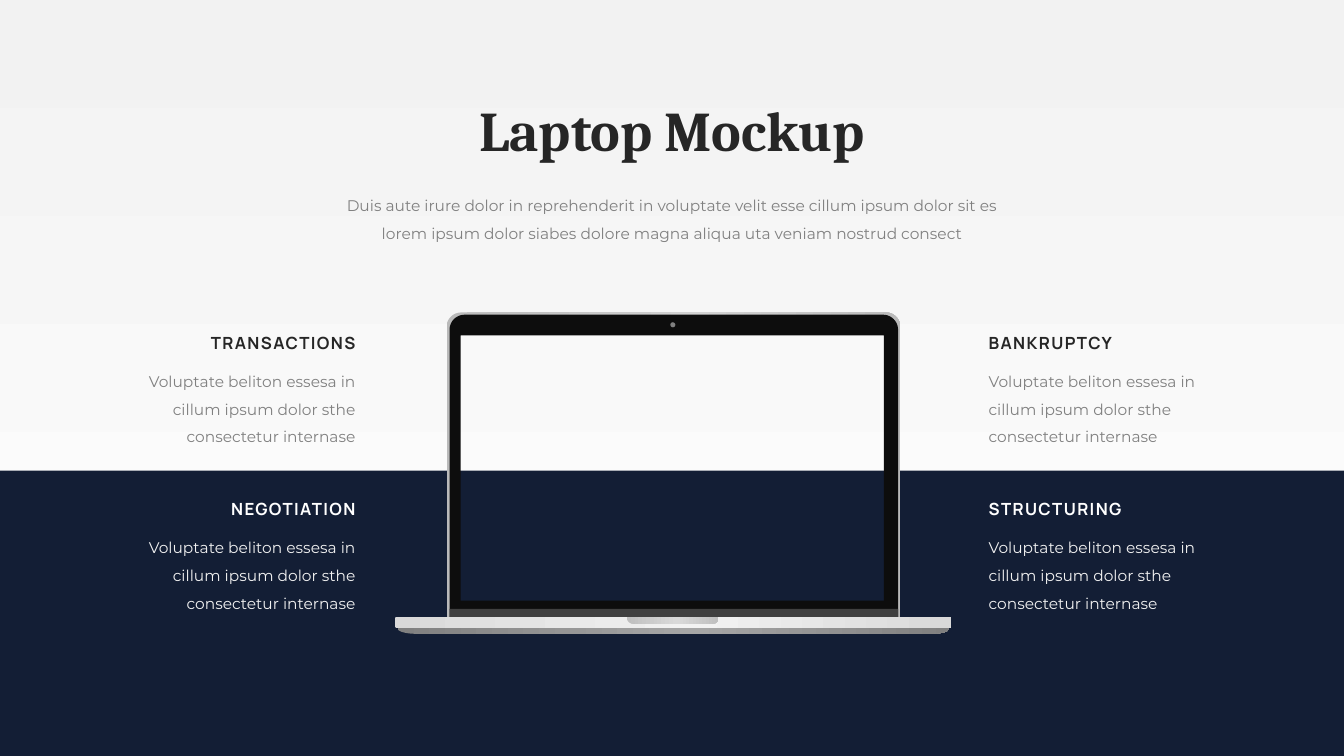
from copy import deepcopy
from dataclasses import dataclass
from math import cos, pi, sin

import pptx
from pptx import util as u
from pptx.dml.color import RGBColor
from pptx.enum import shapes, text
from pptx.oxml import ns

WHITE = RGBColor(0xFF, 0xFF, 0xFF)
MIST = RGBColor(0xF2, 0xF2, 0xF2)
PEARL = RGBColor(0xD9, 0xD9, 0xD9)
ALUMINIUM = RGBColor(0xD3, 0xD3, 0xD3)
SILVER = RGBColor(0xBF, 0xBF, 0xBF)
EDGE = RGBColor(0xBA, 0xBA, 0xBA)
STEEL = RGBColor(0xA6, 0xA6, 0xA6)
GREY = RGBColor(0x80, 0x80, 0x80)
CHARCOAL = RGBColor(0x40, 0x40, 0x40)
INK = RGBColor(0x26, 0x26, 0x26)
BLACK = RGBColor(0x0D, 0x0D, 0x0D)
NAVY = RGBColor(0x13, 0x1E, 0x35)

PAGE_WIDTH, PAGE_HEIGHT = 960, 540
BAND_TOP = 336.25
COLUMN_WIDTH = 177
INTRO = ("Duis aute irure dolor in reprehenderit in voluptate velit esse cillum ipsum dolor "
         "sit es lorem ipsum dolor siabes dolore magna aliqua uta veniam nostrud consect")
DETAIL = "Voluptate beliton essesa in cillum ipsum dolor sthe consectetur internase"
LEFT, CENTER, RIGHT = text.PP_ALIGN.LEFT, text.PP_ALIGN.CENTER, text.PP_ALIGN.RIGHT


@dataclass
class Contour:
    """Rectangle in points, with separate (width, height) radii for top and bottom corners."""
    left: float
    top: float
    right: float
    bottom: float
    top_radius: tuple[float, float] = (0, 0)
    bottom_radius: tuple[float, float] = (0, 0)

    def points(self) -> list[tuple[int, int]]:
        corners = [
            (self.left, self.top, 1, 1, self.top_radius, pi),
            (self.right, self.top, -1, 1, self.top_radius, 1.5 * pi),
            (self.right, self.bottom, -1, -1, self.bottom_radius, 0),
            (self.left, self.bottom, 1, -1, self.bottom_radius, 0.5 * pi),
        ]
        found = []
        for x, y, inward_x, inward_y, (rx, ry), start in corners:
            steps = 12 if rx else 0
            for step in range(steps + 1):
                angle = start + step * pi / 24
                found.append((u.Pt(x + inward_x * rx + rx * cos(angle)),
                              u.Pt(y + inward_y * ry + ry * sin(angle))))
        return found


@dataclass
class LaptopPart:
    contours: list[Contour]
    colors: list[RGBColor]


@dataclass
class Topic:
    heading: str
    left: float
    top: float
    align: text.PP_ALIGN
    heading_color: RGBColor
    detail_color: RGBColor


LAPTOP = [
    # Lid rim, screen bezel, deck, underside and opening notch
    LaptopPart([Contour(319, 223.2, 643, 444.2, (10.6, 10.2)),
                Contour(327, 234, 635.8, 430.6)], [EDGE, ALUMINIUM, EDGE]),
    LaptopPart([Contour(321.1, 224.8, 641.5, 440.6, (10.8, 10.8)),
                Contour(329, 239.6, 631.4, 429)], [BLACK]),
    LaptopPart([Contour(282.2, 440.6, 679.5, 448.6, (1.4, 1.4), (1.4, 1.4))],
               [PEARL, MIST, PEARL]),
    LaptopPart([Contour(284.2, 448.6, 678, 452.8, (0, 0), (14, 3.6))], [GREY, STEEL, GREY]),
    LaptopPart([Contour(447.8, 440.6, 513.4, 445.6, (0, 0), (4.4, 4.4))],
               [SILVER, PEARL, SILVER]),
]

COLUMNS = {LEFT: 699.1, RIGHT: 84.2}
ROWS = [(234, INK, GREY), (352.8, WHITE, MIST)]
HEADINGS = {RIGHT: ["TRANSACTIONS", "NEGOTIATION"], LEFT: ["BANKRUPTCY", "STRUCTURING"]}
TOPICS = [Topic(heading, COLUMNS[align], top, align, heading_color, detail_color)
          for align, headings in HEADINGS.items()
          for heading, (top, heading_color, detail_color) in zip(headings, ROWS)]


def paint(fill, element, colors: list[RGBColor], angle: float = 0) -> None:
    """Fill with one colour, or with a gradient of two or three colours."""
    if len(colors) == 1:
        fill.solid()
        fill.fore_color.rgb = colors[0]
        return
    fill.gradient()
    fill.gradient_angle = angle
    stop_list = element.find(".//" + ns.qn("a:gsLst"))
    if len(colors) == 3:
        stop_list.insert(1, deepcopy(stop_list[0]))
    positions = [0, 1] if len(colors) == 2 else [0, 0.54, 1]
    for stop, color, position in zip(fill.gradient_stops, colors, positions):
        stop.color.rgb = color
        stop.position = position


def finish(shape, colors: list[RGBColor]) -> None:
    shape.shadow.inherit = False
    shape.line.fill.background()
    paint(shape.fill, shape.element, colors)


def add_preset(owner, kind: shapes.MSO_SHAPE, left: float, top: float,
               width: float, height: float, color: RGBColor) -> None:
    shape = owner.shapes.add_shape(kind, u.Pt(left), u.Pt(top), u.Pt(width), u.Pt(height))
    finish(shape, [color])


def add_part(group, part: LaptopPart) -> None:
    builder = None
    for contour in part.contours:
        first, *others = contour.points()
        if builder is None:
            builder = group.shapes.build_freeform(*first)
        else:
            builder.move_to(*first)
        builder.add_line_segments(others, close=True)
    finish(builder.convert_to_shape(), part.colors)


def write(box, words: str, *, font: str, size: float, color: RGBColor, align: text.PP_ALIGN,
          bold: bool = False, line_spacing: float = 1.0, tracking: float = 0) -> None:
    frame = box.text_frame
    frame.word_wrap = True
    frame.auto_size = text.MSO_AUTO_SIZE.SHAPE_TO_FIT_TEXT
    frame.vertical_anchor = text.MSO_ANCHOR.TOP
    para = frame.paragraphs[0]
    para.alignment = align
    para.line_spacing = line_spacing
    span = para.add_run()
    span.text = words
    span.font.name = font
    span.font.size = u.Pt(size)
    span.font.bold = bold
    span.font.color.rgb = color
    if tracking:
        span.font._element.set("spc", str(round(tracking * 100)))


def add_text(page, words: str, left: float, top: float, width: float, height: float,
             **style) -> None:
    box = page.shapes.add_textbox(u.Pt(left), u.Pt(top), u.Pt(width), u.Pt(height))
    write(box, words, **style)


def main() -> None:
    deck = pptx.Presentation()
    deck.slide_width, deck.slide_height = u.Pt(PAGE_WIDTH), u.Pt(PAGE_HEIGHT)
    page = deck.slides.add_slide(deck.slide_layouts[5])

    # Background and navy band
    paint(page.background.fill, page.element, [MIST, WHITE], angle=270)
    add_preset(page, shapes.MSO_SHAPE.RECTANGLE, 0, BAND_TOP,
               PAGE_WIDTH, PAGE_HEIGHT - BAND_TOP, NAVY)

    # Laptop, with the hinge between bezel and deck
    laptop = page.shapes.add_group_shape()
    for part in LAPTOP[:2]:
        add_part(laptop, part)
    add_preset(laptop, shapes.MSO_SHAPE.RECTANGLE, 321.1, 434.9, 320.4, 5.8, CHARCOAL)
    for part in LAPTOP[2:]:
        add_part(laptop, part)
    add_preset(laptop, shapes.MSO_SHAPE.OVAL, 478.8, 230.2, 3.6, 3.6, GREY)

    # Title and introduction
    title = page.shapes.title
    title.left, title.top, title.width, title.height = map(u.Pt, (307.5, 64.8, 345, 55.4))
    write(title, "Laptop Mockup", font="Cambria", size=40, color=INK, align=CENTER, bold=True)
    add_text(page, INTRO, 234, 130.3, 492.5, 45.4, font="Montserrat", size=11,
             color=GREY, align=CENTER, line_spacing=1.5)

    # Four topics beside the laptop
    for topic in TOPICS:
        add_text(page, topic.heading, topic.left, topic.top, COLUMN_WIDTH, 21.6,
                 font="Manrope", size=12, color=topic.heading_color, align=topic.align,
                 bold=True, tracking=1)
        add_text(page, DETAIL, topic.left, topic.top + 21.6, COLUMN_WIDTH, 64.8,
                 font="Montserrat", size=11, color=topic.detail_color, align=topic.align,
                 line_spacing=1.5)

    deck.save("out.pptx")


if __name__ == "__main__":
    main()
